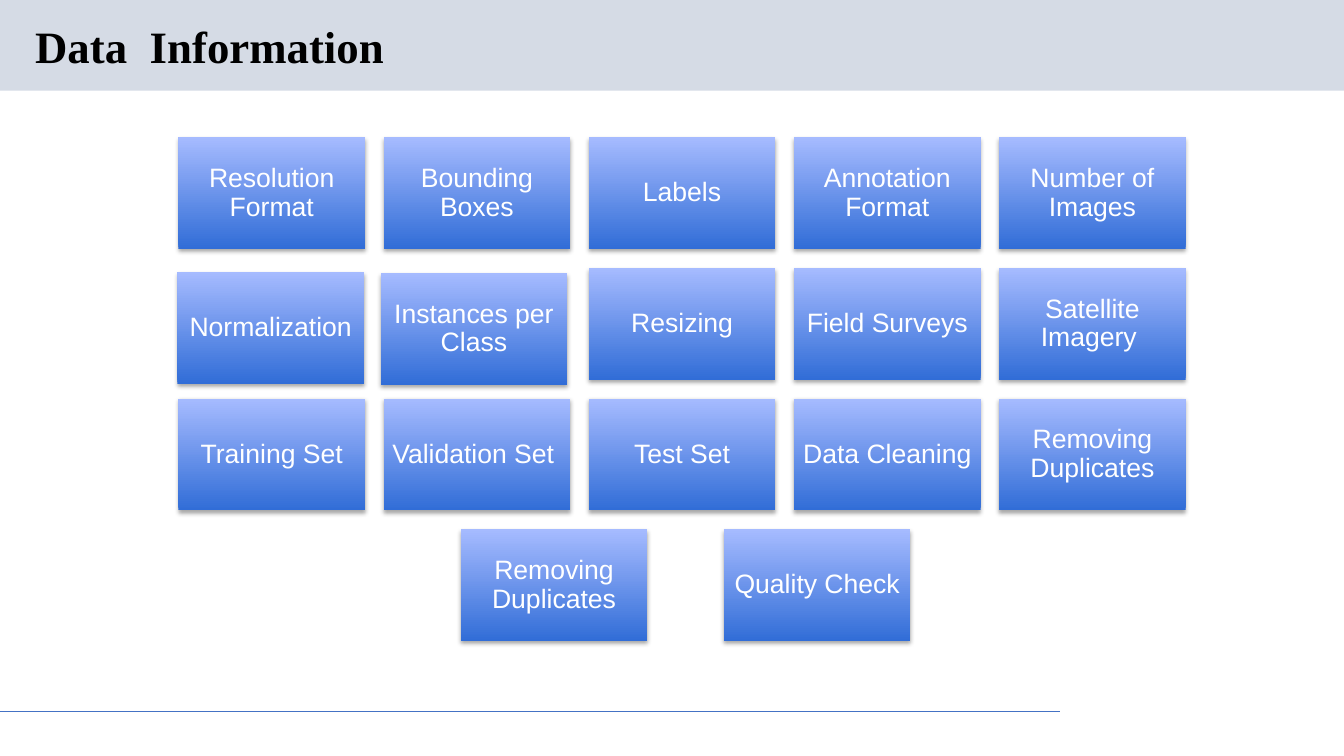
from lxml.etree import SubElement
from pptx import Presentation
from pptx.dml.color import RGBColor
from pptx.enum.shapes import MSO_CONNECTOR, MSO_SHAPE
from pptx.enum.text import MSO_ANCHOR, PP_ALIGN
from pptx.oxml.ns import qn
from pptx.util import Inches, Pt

BAND = RGBColor(0xD5, 0xDB, 0xE5)
RULE = RGBColor(0x44, 0x72, 0xC4)
DEEP = RGBColor(0x31, 0x6D, 0xD7)
PALE = RGBColor(0xA6, 0xBB, 0xFF)
BLACK = RGBColor(0, 0, 0)
WHITE = RGBColor(0xFF, 0xFF, 0xFF)

# Tile grid
LEFT, TOP = 1.77, 1.36
WIDE, HIGH = 1.85, 1.11
STEP_X, STEP_Y = 2.035, 1.297
ROWS = [
    ["Resolution Format", "Bounding Boxes", "Labels",
     "Annotation Format", "Number of Images"],
    ["Normalization", "Instances per Class", "Resizing",
     "Field Surveys", "Satellite Imagery "],
    ["Training Set", "Validation Set ", "Test Set",
     "Data Cleaning", "Removing Duplicates"],
]
LAST = [(4.57, "Removing Duplicates"), (7.18, "Quality Check")]
# Tiles that sit a little off the grid
SHIFT = {"Normalization": (-0.01, 0.04), "Instances per Class": (-0.03, 0.05)}
# Extra width of the space between words, in points
GAPS = {"Resolution Format": 10.5}


def write(frame, text, font="Arial", size=19, color=WHITE, bold=False,
          align=PP_ALIGN.CENTER, inset=(0.08, 0.08), gap=0):
    """Fill a text frame; gap widens the spaces between words."""
    frame.word_wrap = True
    frame.vertical_anchor = MSO_ANCHOR.MIDDLE
    frame.margin_left = frame.margin_right = Inches(inset[0])
    frame.margin_top = frame.margin_bottom = Inches(inset[1])
    para = frame.paragraphs[0]
    para.alignment = align
    para.line_spacing = 0.9
    for part in text.replace(" ", "\n \n").split("\n") if gap else [text]:
        run = para.add_run()
        run.text = part
        run.font.name = font
        run.font.size = Pt(size)
        run.font.bold = bold
        run.font.color.rgb = color
        if part == " ":
            run.font._element.set("spc", str(round(gap * 100)))


class Board:
    """Holds the style and the current slide."""

    def __init__(self, slide):
        self.shapes = slide.shapes

    def rect(self, x, y, w, h):
        box = self.shapes.add_shape(
            MSO_SHAPE.RECTANGLE, Inches(x), Inches(y), Inches(w), Inches(h))
        box.shadow.inherit = False
        box.line.fill.background()
        return box

    def band(self, x, y, w, h, color):
        fill = self.rect(x, y, w, h).fill
        fill.solid()
        fill.fore_color.rgb = color

    def rule(self, x1, y1, x2, y2):
        line = self.shapes.add_connector(
            MSO_CONNECTOR.STRAIGHT, Inches(x1), Inches(y1), Inches(x2), Inches(y2))
        line.line.color.rgb = RULE
        line.line.width = Pt(0.75)
        SubElement(line._element.spPr, qn("a:effectLst"))

    def label(self, x, y, w, h, text, **style):
        box = self.shapes.add_textbox(Inches(x), Inches(y), Inches(w), Inches(h))
        write(box.text_frame, text, **style)

    def tile(self, x, y, text):
        box = self.rect(x, y, WIDE, HIGH)
        box.fill.gradient()
        box.fill.gradient_angle = 90
        for stop, color in zip(box.fill.gradient_stops, (DEEP, PALE)):
            stop.color.rgb = color
        self.shade(box)
        write(box.text_frame, text, gap=GAPS.get(text, 0))

    def shade(self, box):
        effect = box._element.spPr.find(qn("a:effectLst"))
        drop = SubElement(effect, qn("a:outerShdw"), blurRad=str(Pt(3.1)),
                          dist=str(Pt(1.8)), dir="5400000", rotWithShape="0")
        tint = SubElement(drop, qn("a:srgbClr"), val=str(BLACK))
        SubElement(tint, qn("a:alpha"), val="35000")


def main():
    deck = Presentation()
    deck.slide_width, deck.slide_height = Inches(13.33), Inches(7.5)
    board = Board(deck.slides.add_slide(deck.slide_layouts[6]))

    # Header and footer
    board.band(0, 0, 13.33, 0.9, BAND)
    board.rule(0, 7.06, 10.51, 7.06)
    board.label(0.25, 0.19, 11.5, 0.59, "Data Information",
                font="Times New Roman", size=32, color=BLACK, bold=True,
                align=PP_ALIGN.LEFT, inset=(0.1, 0.05), gap=8)

    # Full rows of tiles
    for row, names in enumerate(ROWS):
        for col, name in enumerate(names):
            dx, dy = SHIFT.get(name, (0, 0))
            board.tile(LEFT + col * STEP_X + dx, TOP + row * STEP_Y + dy, name)

    # Last row
    for x, name in LAST:
        board.tile(x, TOP + len(ROWS) * STEP_Y, name)

    deck.save("out.pptx")


if __name__ == "__main__":
    main()
